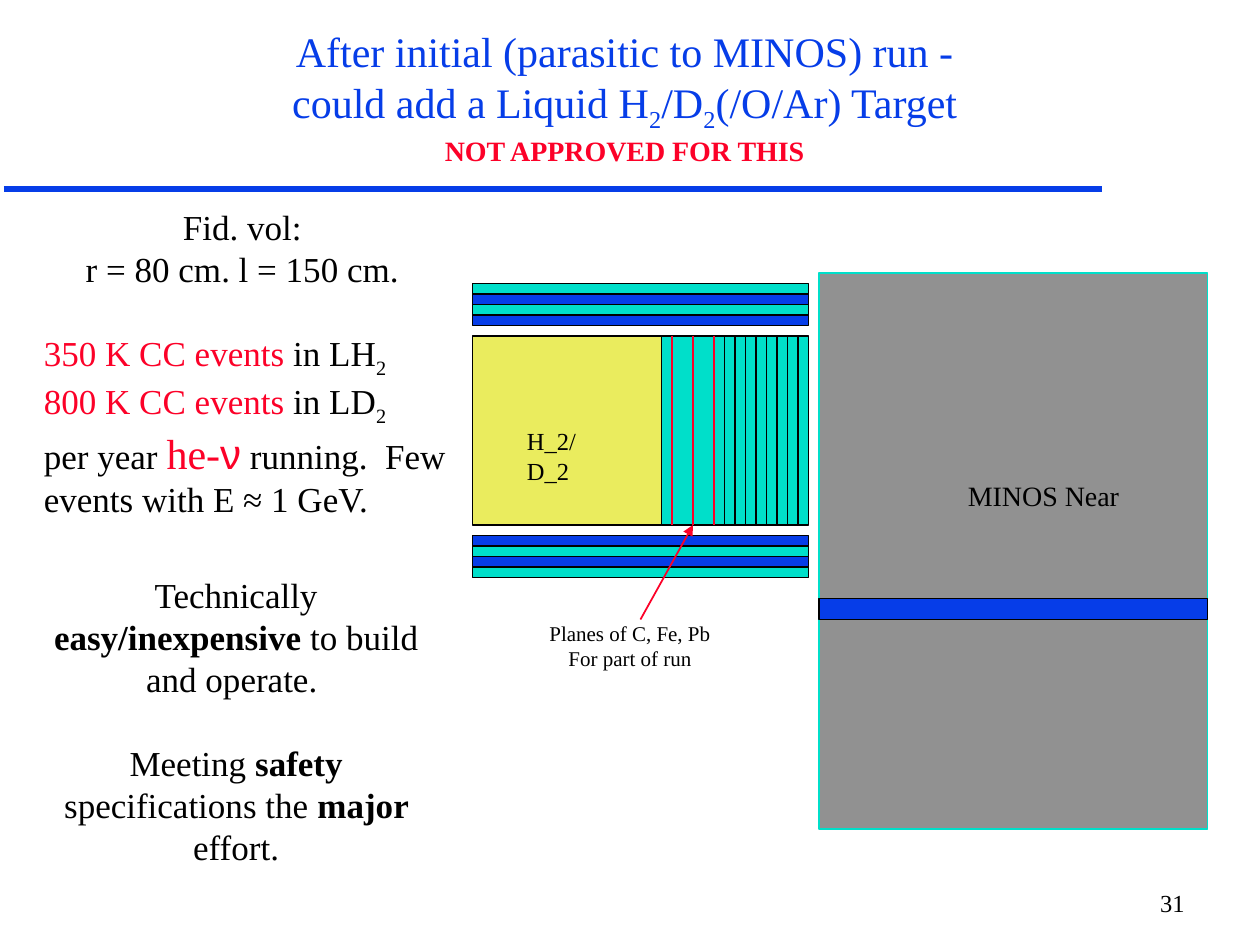
import pptx
import pptx.dml.color
import pptx.enum.shapes
import pptx.enum.text
import pptx.oxml
import pptx.oxml.ns
import pptx.util

RGBColor = pptx.dml.color.RGBColor
Cm = pptx.util.Cm
Pt = pptx.util.Pt
PP_ALIGN = pptx.enum.text.PP_ALIGN
MSO_ANCHOR = pptx.enum.text.MSO_ANCHOR
MSO_AUTO_SIZE = pptx.enum.text.MSO_AUTO_SIZE

BLUE = RGBColor(0x06, 0x3D, 0xE8)
TEAL = RGBColor(0x00, 0xDF, 0xCA)
RED = RGBColor(0xFC, 0x01, 0x28)
YELLOW = RGBColor(0xEA, 0xEC, 0x5E)
GREY = RGBColor(0x91, 0x91, 0x91)
BLACK = RGBColor(0, 0, 0)

CENTER = {"alignment": PP_ALIGN.CENTER}
AFTER_GAP = {"space_before": Pt(24)}
BOLD = {"bold": True}
SUBSCRIPT = {"baseline": "-25000"}
BREAK = ("\n", {})
FIT = {"auto_size": MSO_AUTO_SIZE.SHAPE_TO_FIT_TEXT}
FIT_ONE_LINE = {**FIT, "word_wrap": False}


def grid(units):
    """Length of a number of grid steps, twelve to the inch."""
    return Cm(units * 2.54 / 12)


def set_format(target, values):
    for attribute, value in values.items():
        setattr(target, attribute, value)


class DetectorSlide:
    font_name = "Times New Roman"

    def __init__(self, slide):
        self.shapes = slide.shapes

    def block(self, left, top, width, height, fill, outline=BLACK):
        block = self.shapes.add_shape(
            pptx.enum.shapes.MSO_SHAPE.RECTANGLE,
            *map(grid, (left, top, width, height)))
        block.shadow.inherit = False
        block.fill.solid()
        block.fill.fore_color.rgb = fill
        block.line.color.rgb = outline
        block.line.width = Pt(1)

    def line(self, x1, y1, x2, y2, color, width=1, arrow=False):
        line = self.shapes.add_connector(
            pptx.enum.shapes.MSO_CONNECTOR.STRAIGHT,
            *map(grid, (x1, y1, x2, y2)))
        line.line.color.rgb = color
        line.line.width = Pt(width)
        if arrow:
            head = pptx.oxml.ns.qn("a:tailEnd")
            line.line._get_or_add_ln().makeelement(head)
            end = pptx.oxml.parse_xml(
                f'<a:tailEnd {pptx.oxml.ns.nsdecls("a")} type="triangle"/>')
            line.line._get_or_add_ln().append(end)
        line._element.spPr.append(pptx.oxml.parse_xml(
            f'<a:effectLst {pptx.oxml.ns.nsdecls("a")}/>'))

    def text(self, left, top, width, height, size, paragraphs, color=BLACK, frame_format=None):
        """Paragraphs are (paragraph format, runs); runs are (text, font format)."""
        frame = self.shapes.add_textbox(
            *map(grid, (left, top, width, height))).text_frame
        set_format(frame, {"word_wrap": True, **(frame_format or {})})
        for index, (paragraph_format, runs) in enumerate(paragraphs):
            paragraph = frame.paragraphs[0] if index == 0 else frame.add_paragraph()
            set_format(paragraph, paragraph_format)
            paragraph.font.size = Pt(size)
            for words, font_format in runs:
                if words == "\n":
                    paragraph.add_line_break()
                else:
                    self.run(paragraph, words, size, color, font_format)

    def run(self, paragraph, words, size, color, font_format):
        run = paragraph.add_run()
        run.text = words
        values = {"name": self.font_name, "size": Pt(size), **font_format}
        run.font.color.rgb = values.pop("color", color)
        baseline = values.pop("baseline", None)
        if baseline:
            run._r.get_or_add_rPr().set("baseline", baseline)
        set_format(run.font, values)


def add_detector(slide):
    left, top, width, height = 45, 32, 32, 18
    bottom = top + height
    slide.block(left + 18, top, width - 18, height, TEAL)
    slide.block(78, 26, 37, 53, GREY, TEAL)
    slide.block(left, top, 18, height, YELLOW)
    for row in range(4):
        upper, lower = (TEAL, BLUE) if row % 2 == 0 else (BLUE, TEAL)
        slide.block(left, 27 + row, width, 1, upper)
        slide.block(left, 51 + row, width, 1, lower)
    for x in range(64, 69, 2):
        slide.line(x, top, x, bottom, RED)
    for x in range(69, 77):
        slide.line(x, top, x, bottom, BLACK)
    slide.block(78, 57, 37, 2, BLUE)
    slide.line(61, 59, 66, bottom, RED, arrow=True)

    slide.text(49, 40, 11, 4, 14, [({}, [("H_2/D_2", {})])], frame_format=FIT_ONE_LINE)
    slide.text(91, 45, 16.8, 4.4, 16, [({}, [("MINOS Near", {})])],
               frame_format=FIT_ONE_LINE)
    slide.text(51.1, 58.5, 17.8, 6, 12, [
        (CENTER, [("Planes of C, Fe, Pb", {})]),
        (CENTER, [("For part of run", {})]),
    ], frame_format=FIT_ONE_LINE)


def add_notes_on_events(slide):
    red = {"color": RED}
    large_red = {"color": RED, "size": Pt(24)}
    slide.text(3, 19, 41, 31, 20, [
        (CENTER, [("Fid. vol: ", {})]),
        (CENTER, [("r = 80 cm. l = 150 cm. ", {})]),
        (AFTER_GAP, [("350 K CC events", red), (" in LH", {}), ("2", SUBSCRIPT)]),
        ({}, [("800 K CC events", red), (" in LD", {}), ("2", SUBSCRIPT)]),
        ({}, [("per year ", {}), ("he-", large_red),
              ("ν", {**large_red, "name": "Arial"}),
              (" running.  Few events with E ≈ 1 GeV.", {})]),
    ], frame_format=FIT)
    slide.text(2, 54, 41, 29.3, 20, [
        (CENTER, [("Technically ", {}), ("easy/inexpensive", BOLD),
                  (" to build and operate. ", {})]),
        ({**CENTER, **AFTER_GAP}, [
            ("Meeting ", {}), ("safety", BOLD), (" specifications the ", {}),
            ("major ", BOLD), ("effort.", {})]),
    ], frame_format=FIT)


def main():
    deck = pptx.Presentation()
    deck.slide_width, deck.slide_height = Cm(25.4), Cm(19.05)
    slide = DetectorSlide(deck.slides.add_slide(deck.slide_layouts[6]))

    slide.line(0.36, 18, 105, 18, BLUE, width=4)
    slide.text(2, 5, 115, 11.5, 24, [(CENTER, [
        ("After initial (parasitic to MINOS) run -", {}), BREAK,
        ("could add a Liquid H", {}), ("2", SUBSCRIPT),
        ("/D", {}), ("2", SUBSCRIPT), ("(/O/Ar) Target", {}), BREAK,
        ("NOT APPROVED FOR THIS", {**BOLD, "color": RED, "size": Pt(16)}),
    ])], color=BLUE, frame_format={"vertical_anchor": MSO_ANCHOR.BOTTOM})
    add_detector(slide)
    add_notes_on_events(slide)
    slide.text(89, 84, 25, 6, 14, [({"alignment": PP_ALIGN.RIGHT}, [("31", {})])])

    deck.save("out.pptx")


if __name__ == "__main__":
    main()
